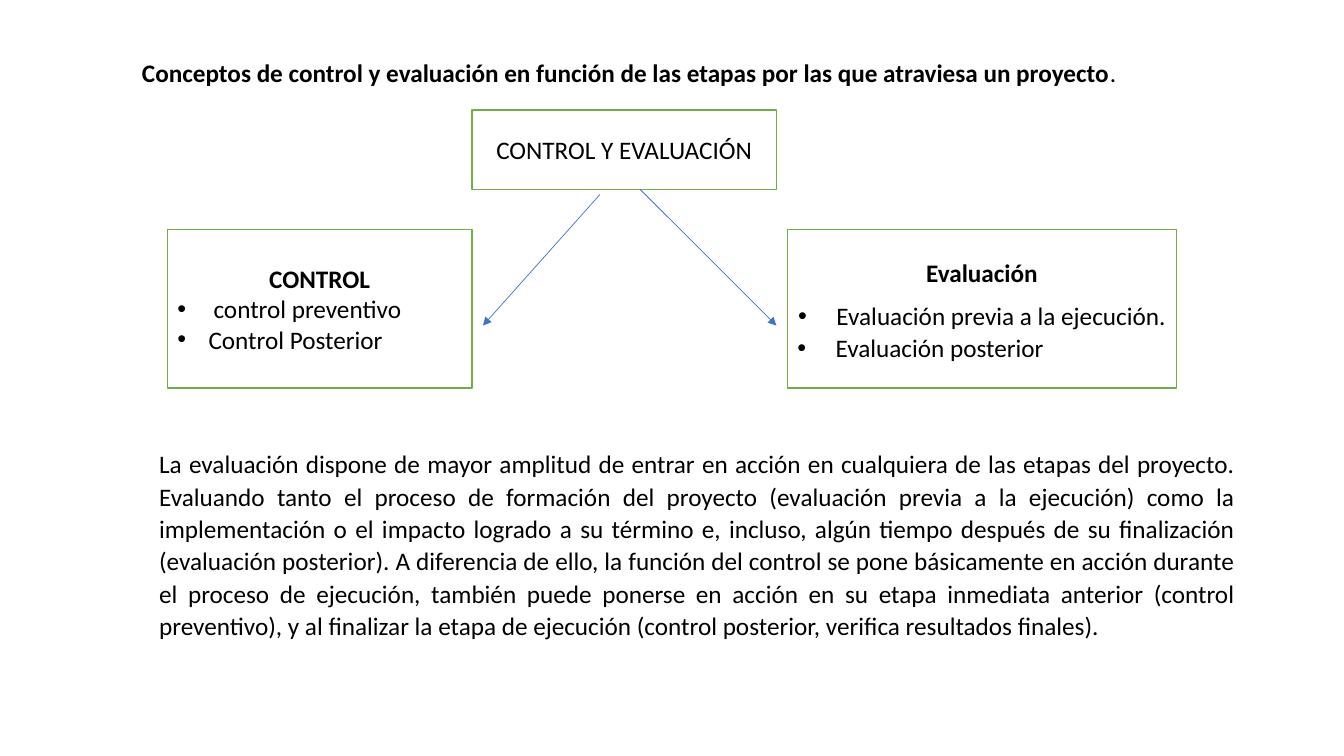
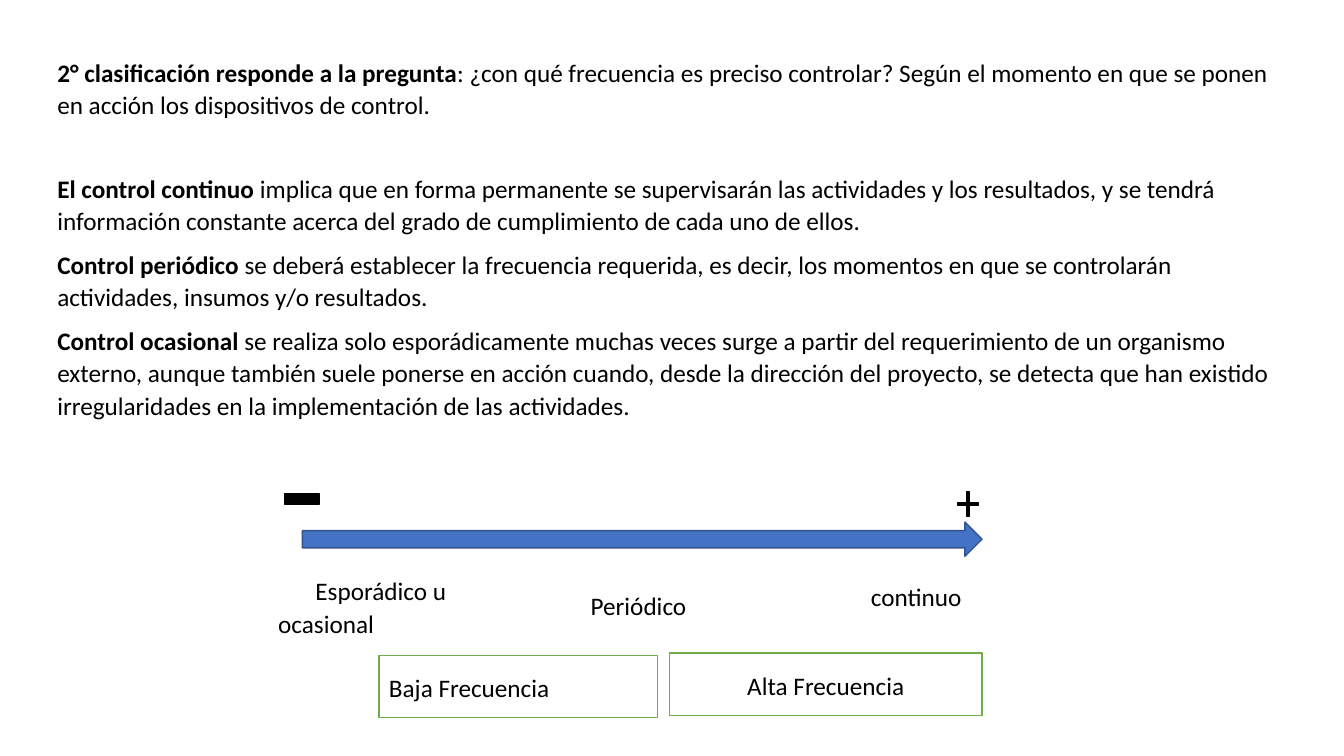
from dataclasses import dataclass

from lxml import etree
from pptx import Presentation
from pptx.dml.color import RGBColor
from pptx.enum.shapes import MSO_CONNECTOR, MSO_SHAPE
from pptx.enum.text import MSO_ANCHOR, PP_ALIGN
from pptx.oxml.ns import qn
from pptx.util import Inches, Pt

LEFT, CENTER, JUSTIFY = PP_ALIGN.LEFT, PP_ALIGN.CENTER, PP_ALIGN.JUSTIFY
MIDDLE, TOP = MSO_ANCHOR.MIDDLE, MSO_ANCHOR.TOP
RECT, ARROW = MSO_SHAPE.RECTANGLE, MSO_SHAPE.RIGHT_ARROW
MINUS, PLUS = MSO_SHAPE.MATH_MINUS, MSO_SHAPE.MATH_PLUS
STRAIGHT = MSO_CONNECTOR.STRAIGHT


@dataclass(frozen=True)
class Theme:
    font: str = "Calibri"
    size: float = 18
    spacing: float = 1.07
    after: float = 8
    text: RGBColor = RGBColor(0, 0, 0)
    paper: RGBColor = RGBColor(255, 255, 255)
    green: RGBColor = RGBColor(0x70, 0xAD, 0x47)
    blue: RGBColor = RGBColor(0x44, 0x72, 0xC4)
    dark_blue: RGBColor = RGBColor(0x32, 0x54, 0x91)
    outline: float = 1
    thin: float = 0.5


THEME = Theme()


@dataclass(frozen=True)
class Para:
    """One paragraph: a bold lead, then plain text."""
    bold: str = ""
    plain: str = ""
    align: PP_ALIGN = LEFT
    margin: float = 0
    indent: float = 0
    bullet: bool = False
    spacing: float = THEME.spacing
    after: float = THEME.after


def bullet(text, hang, **options):
    return Para(plain=text, margin=hang, indent=-hang, bullet=True, **options)


# Text
def add_run(p, text, bold):
    r = p.add_run()
    r.text = text
    r.font.name = THEME.font
    r.font.size = Pt(THEME.size)
    r.font.bold = bold
    r.font.color.rgb = THEME.text


def write(tf, paras, anchor):
    tf.word_wrap = True
    tf.vertical_anchor = anchor
    for i, para in enumerate(paras):
        p = tf.add_paragraph() if i else tf.paragraphs[0]
        p.alignment = para.align
        p.line_spacing = para.spacing
        p.space_after = Pt(para.after)
        pPr = p._p.get_or_add_pPr()
        pPr.set("marL", str(Inches(para.margin)))
        pPr.set("indent", str(Inches(para.indent)))
        if para.bullet:
            etree.SubElement(pPr, qn("a:buFont")).set("typeface", "Arial")
            etree.SubElement(pPr, qn("a:buChar")).set("char", "•")
        for text, bold in ((para.bold, True), (para.plain, False)):
            if text:
                add_run(p, text, bold)


def add_text(slide, x, y, w, h, *paras):
    sp = slide.shapes.add_textbox(Inches(x), Inches(y), Inches(w), Inches(h))
    write(sp.text_frame, paras, TOP)


# Shapes
def add_figure(slide, kind, x, y, w, h, fill, line):
    sp = slide.shapes.add_shape(kind, Inches(x), Inches(y), Inches(w), Inches(h))
    sp.shadow.inherit = False
    sp.fill.solid()
    sp.fill.fore_color.rgb = fill
    sp.line.color.rgb = line
    sp.line.width = Pt(THEME.outline)
    return sp


def add_box(slide, x, y, w, h, *paras):
    sp = add_figure(slide, RECT, x, y, w, h, THEME.paper, THEME.green)
    write(sp.text_frame, paras, MIDDLE)


def add_branch(slide, x1, y1, x2, y2):
    cx = slide.shapes.add_connector(
        STRAIGHT, Inches(x1), Inches(y1), Inches(x2), Inches(y2))
    cx.line.color.rgb = THEME.blue
    cx.line.width = Pt(THEME.thin)
    etree.SubElement(cx.line._get_or_add_ln(), qn("a:tailEnd")).set("type", "triangle")
    etree.SubElement(cx._element.spPr, qn("a:effectLst"))


# Slides
def build_concepts(slide):
    add_text(slide, 0.81, 0.5, 11.02, 0.41, Para(
        "Conceptos de control y evaluación en función de las etapas por las que "
        "atraviesa un proyecto", ".", margin=0.5))

    # Tree of concepts
    tight = {"spacing": 1, "after": 0}
    add_box(slide, 1.66, 2.28, 3.02, 1.57,
            Para("CONTROL", align=CENTER, **tight),
            bullet("control preventivo", 0.36, **tight),
            bullet("Control Posterior", 0.31, **tight))
    add_box(slide, 7.81, 2.28, 3.86, 1.57,
            Para("Evaluación", align=CENTER),
            bullet("Evaluación previa a la ejecución.", 0.38, align=CENTER, after=0),
            bullet("Evaluación posterior", 0.38))
    add_box(slide, 4.68, 1.09, 3.02, 0.79,
            Para(plain="CONTROL Y EVALUACIÓN", align=CENTER, **tight))
    add_branch(slide, 6.35, 1.88, 7.7, 3.23)
    add_branch(slide, 5.95, 1.93, 4.79, 3.23)

    # Explanation
    add_text(slide, 0.98, 4.38, 11.37, 2.03, Para(
        plain="La evaluación dispone de mayor amplitud de entrar en acción en "
        "cualquiera de las etapas del proyecto. Evaluando tanto el proceso de "
        "formación del proyecto (evaluación previa a la ejecución) como la "
        "implementación o el impacto logrado a su término e, incluso, algún tiempo "
        "después de su finalización (evaluación posterior). A diferencia de ello, la "
        "función del control se pone básicamente en acción durante el proceso de "
        "ejecución, también puede ponerse en acción en su etapa inmediata anterior "
        "(control preventivo), y al finalizar la etapa de ejecución (control "
        "posterior, verifica resultados finales).", align=JUSTIFY, margin=0.5))


def build_frequency(slide):
    add_text(slide, 0.47, 0.5, 12.44, 0.73, Para(
        "2° clasificación responde a la pregunta",
        ": ¿con qué frecuencia es preciso controlar? Según el momento en que se "
        "ponen en acción los dispositivos de control."))
    add_text(
        slide, 0.47, 1.65, 12.44, 2.58,
        Para("El control continuo",
             " implica que en forma permanente se supervisarán las actividades y los "
             "resultados, y se tendrá información constante acerca del grado de "
             "cumplimiento de cada uno de ellos."),
        Para("Control periódico",
             " se deberá establecer la frecuencia requerida, es decir, los momentos "
             "en que se controlarán actividades, insumos y/o resultados."),
        Para("Control ocasional",
             " se realiza solo esporádicamente muchas veces surge a partir del "
             "requerimiento de un organismo externo, aunque también suele ponerse en "
             "acción cuando, desde la dirección del proyecto, se detecta que han "
             "existido irregularidades en la implementación de las actividades."))

    # Frequency scale
    add_figure(slide, MINUS, 2.76, 4.74, 0.47, 0.42, THEME.text, THEME.text)
    plus = add_figure(slide, PLUS, 9.46, 4.83, 0.28, 0.34, THEME.text, THEME.text)
    plus.adjustments[0] = 0.074
    add_figure(slide, ARROW, 3, 5.18, 6.74, 0.34, THEME.blue, THEME.dark_blue)
    add_text(slide, 2.66, 5.64, 2.25, 0.73,
             Para(plain="Esporádico u ocasional", indent=0.37))
    add_text(slide, 5.76, 5.81, 1.22, 0.4, Para(plain="Periódico", spacing=1, after=0))
    add_text(slide, 8.54, 5.72, 1.11, 0.4, Para(plain="continuo", spacing=1, after=0))

    # Frequency levels
    add_box(slide, 3.76, 6.5, 2.76, 0.62, Para(plain="Baja Frecuencia"))
    add_box(slide, 6.64, 6.48, 3.1, 0.62, Para(plain="Alta Frecuencia", align=CENTER))


def main():
    prs = Presentation()
    prs.slide_width, prs.slide_height = Inches(13.33), Inches(7.5)
    blank = prs.slide_layouts[6]
    for build in (build_concepts, build_frequency):
        build(prs.slides.add_slide(blank))
    prs.save("out.pptx")


main()
